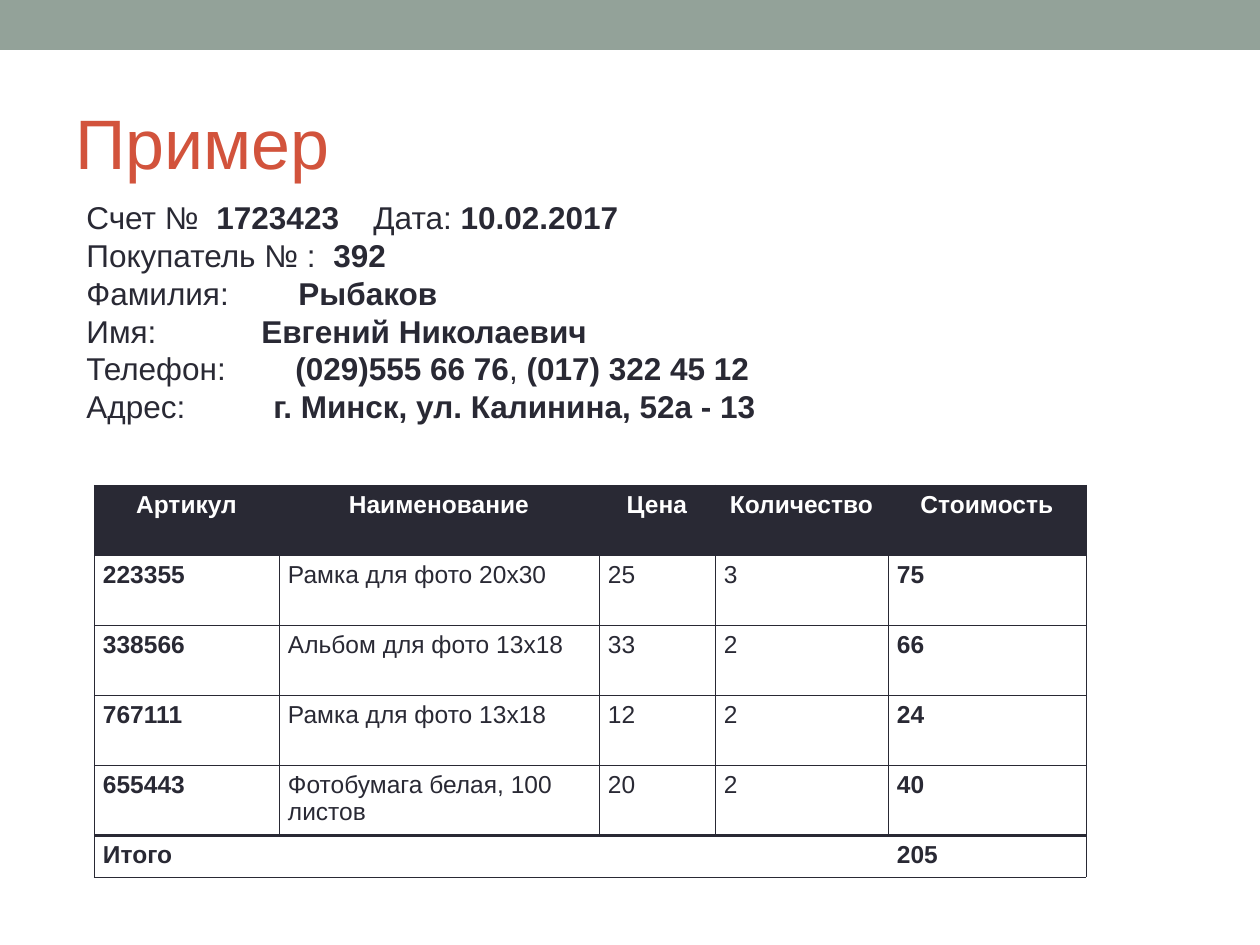
"""Build the sample invoice slide with customer details and an order table."""
from lxml import etree
from pptx import Presentation
from pptx.dml.color import RGBColor
from pptx.enum.shapes import MSO_SHAPE
from pptx.enum.text import MSO_ANCHOR, PP_ALIGN
from pptx.oxml.ns import qn
from pptx.util import Pt

RECT = MSO_SHAPE.RECTANGLE
MIDDLE = MSO_ANCHOR.MIDDLE
CENTER = PP_ALIGN.CENTER
SAGE = RGBColor(0x93, 0xA2, 0x99)
RED = RGBColor(0xD2, 0x53, 0x3C)
DARK = RGBColor(0x29, 0x29, 0x34)
WHITE = RGBColor(0xFF, 0xFF, 0xFF)
PX = 914400 // 126
THIN, THICK = Pt(0.34), Pt(1.98)


def style(run, size, color, bold=False):
    run.font.name = "Arial"
    run.font.size = Pt(size)
    run.font.color.rgb = color
    run.font.bold = bold


def border(cell, side, width):
    props = cell._tc.get_or_add_tcPr()
    line = etree.SubElement(props, qn("a:ln" + side), w=str(width))
    if width:
        fill = etree.SubElement(line, qn("a:solidFill"))
        etree.SubElement(fill, qn("a:srgbClr"), val=str(DARK))
    else:
        etree.SubElement(line, qn("a:noFill"))


deck = Presentation()
deck.slide_width, deck.slide_height = 1260 * PX, 945 * PX
slide = deck.slides.add_slide(deck.slide_layouts[6])
shapes = slide.shapes

band = shapes.add_shape(RECT, 0, 0, 1260 * PX, 50 * PX)
band.shadow.inherit = False
band.fill.solid()
band.fill.fore_color.rgb = SAGE
band.line.fill.background()

title = shapes.add_textbox(63 * PX, 73 * PX, 1134 * PX, 136 * PX).text_frame
title.word_wrap = True
title.vertical_anchor = MIDDLE
title.text = "Пример"
style(title.paragraphs[0].runs[0], 40, RED)

details = [
    ([130, 287], [("Счет №\t", False), ("1723423", True),
                  ("\tДата: ", False), ("10.02.2017", True)]),
    ([247], [("Покупатель № :\t", False), ("392", True)]),
    ([212], [("Фамилия:\t", False), ("Рыбаков", True)]),
    ([175], [("Имя:\t", False), ("Евгений Николаевич", True)]),
    ([209], [("Телефон:\t", False), ("(029)555 66 76", True),
             (", ", False), ("(017) 322 45 12", True)]),
    ([187], [("Адрес:\t", False), ("г. Минск, ул. Калинина, 52а - 13", True)]),
]
info = shapes.add_textbox(74 * PX, 192 * PX, 1121 * PX, 277 * PX).text_frame
info.word_wrap = True
for i, (stops, parts) in enumerate(details):
    para = info.add_paragraph() if i else info.paragraphs[0]
    tabs = etree.SubElement(para._p.get_or_add_pPr(), qn("a:tabLst"))
    for stop in stops:
        etree.SubElement(tabs, qn("a:tab"), pos=str(stop * PX), algn="l")
    for text, bold in parts:
        run = para.add_run()
        run.text = text
        style(run, 18, DARK, bold)

orders = [
    ["Артикул", "Наименование", "Цена", "Количество", "Стоимость"],
    ["223355", "Рамка для фото 20х30", "25", "3", "75"],
    ["338566", "Альбом для фото 13х18", "33", "2", "66"],
    ["767111", "Рамка для фото 13х18", "12", "2", "24"],
    ["655443", "Фотобумага белая, 100 листов", "20", "2", "40"],
    ["Итого", "", "", "", "205"],
]
widths = [185, 320, 116, 173, 198]
heights = [70, 70, 70, 70, 70, 40]
last = len(orders) - 1
end = len(widths) - 1
table = shapes.add_table(len(orders), len(widths), 94 * PX, 485 * PX,
                         sum(widths) * PX, sum(heights) * PX).table
for col, width in zip(table.columns, widths):
    col.width = width * PX
for row, height in zip(table.rows, heights):
    row.height = height * PX

for r, texts in enumerate(orders):
    for c, text in enumerate(texts):
        cell = table.cell(r, c)
        cell.margin_left = cell.margin_right = 9 * PX
        cell.margin_top = cell.margin_bottom = 6 * PX
        border(cell, "L", 0 if r == last and c else THIN)
        border(cell, "R", 0 if r == last and c < end else THIN)
        border(cell, "T", THICK if r == last else THIN)
        border(cell, "B", THICK if r == last - 1 else THIN)
        if r:
            cell.fill.background()
        else:
            cell.fill.solid()
            cell.fill.fore_color.rgb = DARK
        if text:
            cell.text_frame.text = text
            para = cell.text_frame.paragraphs[0]
            para.alignment = None if r else CENTER
            style(para.runs[0], 14, DARK if r else WHITE,
                  r in (0, last) or c in (0, end))
table.cell(last, 0).merge(table.cell(last, end - 1))

deck.save("out.pptx")
